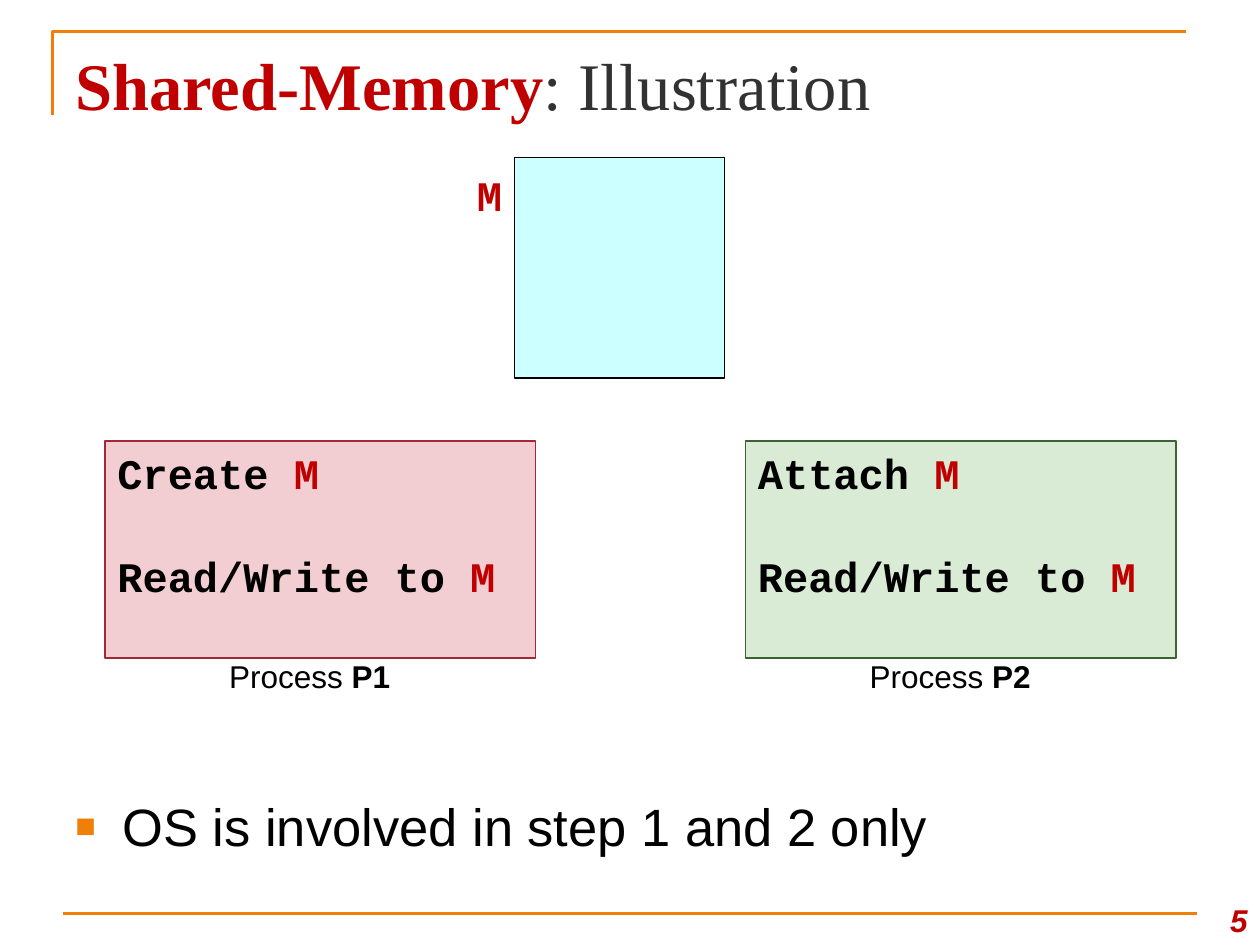
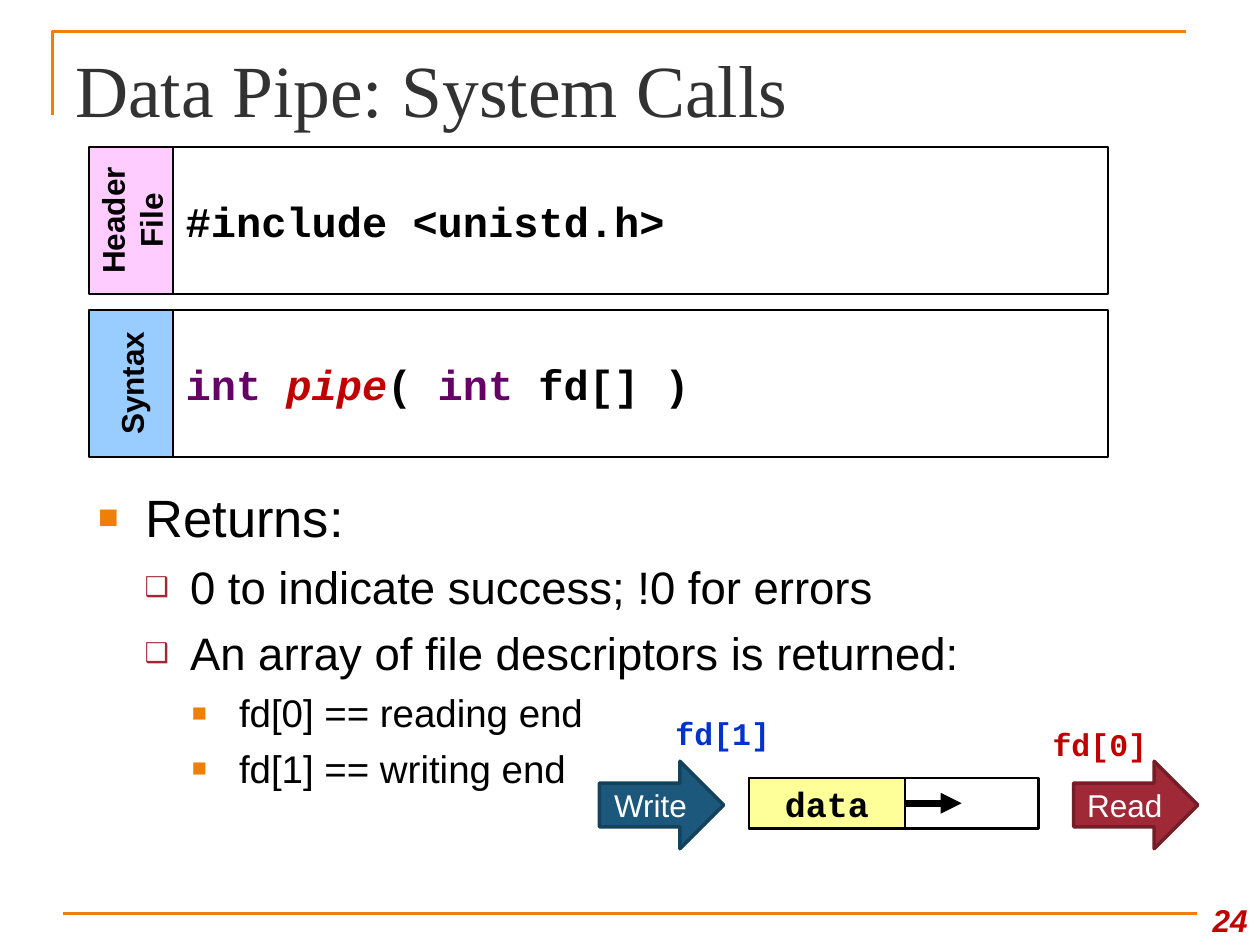
from lxml import etree
from pptx import Presentation
from pptx.dml.color import RGBColor
from pptx.enum.shapes import MSO_CONNECTOR, MSO_SHAPE
from pptx.enum.text import MSO_ANCHOR, PP_ALIGN
from pptx.oxml.ns import qn
from pptx.util import Pt

RECTANGLE, RIGHT_ARROW = MSO_SHAPE.RECTANGLE, MSO_SHAPE.RIGHT_ARROW
STRAIGHT = MSO_CONNECTOR.STRAIGHT
TOP, MIDDLE, BOTTOM = MSO_ANCHOR.TOP, MSO_ANCHOR.MIDDLE, MSO_ANCHOR.BOTTOM
LEFT, CENTER, RIGHT = PP_ALIGN.LEFT, PP_ALIGN.CENTER, PP_ALIGN.RIGHT

SANS, MONO, SERIF = "Arial", "Courier New", "Times New Roman"
ORANGE, RED, CRIMSON, BLUE = "F07F09", "C00000", "9F2936", "1B587C"
BLACK, WHITE, GRAY, PURPLE = "000000", "FFFFFF", "323232", "660066"

rgb = RGBColor.from_string


def add_box(slide, place, fill=None, line=None, weight=1, preset=RECTANGLE):
    """Add a preset shape, or a plain text box when it has no outline."""
    place = [Pt(length) for length in place]
    if line is None:
        return slide.shapes.add_textbox(*place)
    box = slide.shapes.add_shape(preset, *place)
    box.shadow.inherit = False
    if fill:
        box.fill.solid()
        box.fill.fore_color.rgb = rgb(fill)
    else:
        box.fill.background()
    box.line.color.rgb = rgb(line)
    box.line.width = Pt(weight)
    return box


def write(box, runs, size, font=SANS, color=BLACK, bold=False, italic=False,
          align=LEFT, anchor=TOP, before=0, bullet=None):
    """Append a paragraph; each run is (text, {font settings that differ})."""
    frame = box.text_frame
    frame.word_wrap = True
    frame.vertical_anchor = anchor
    paragraph = frame.add_paragraph() if frame.text else frame.paragraphs[0]
    paragraph.alignment = align
    if before:
        paragraph.space_before = Pt(before)
    if bullet:
        mark, mark_color, percent, margin, hanging = bullet
        props = paragraph._p.get_or_add_pPr()
        props.set("marL", str(Pt(margin)))
        props.set("indent", str(-Pt(hanging)))
        tint = etree.SubElement(props, qn("a:buClr"))
        etree.SubElement(tint, qn("a:srgbClr"), val=mark_color)
        etree.SubElement(props, qn("a:buSzPct"), val=str(percent * 1000))
        etree.SubElement(props, qn("a:buFont"), typeface=SANS)
        etree.SubElement(props, qn("a:buChar"), char=mark)
    paragraph.font.name, paragraph.font.size = font, Pt(size)
    paragraph.font.bold, paragraph.font.italic = bold, italic
    paragraph.font.color.rgb = rgb(color)
    for text, changes in runs:
        run = paragraph.add_run()
        run.text = text
        for setting, value in changes.items():
            if setting == "color":
                run.font.color.rgb = rgb(value)
            else:
                setattr(run.font, setting, value)


deck = Presentation()
deck.slide_width, deck.slide_height = Pt(720), Pt(540)

# Frame, title and number of every slide
slide_heads = [
    ("5", 38, [("Shared-Memory", {"color": RED, "bold": True}),
               (": Illustration", {})]),
    ("24", 42, [("Data Pipe: System Calls", {})]),
]
slides = []
for number, title_size, title_runs in slide_heads:
    slide = deck.slides.add_slide(deck.slide_layouts[6])
    slides.append(slide)
    outline = slide.shapes.build_freeform(Pt(30), Pt(66))
    outline.add_line_segments([(Pt(30), Pt(18)), (Pt(678), Pt(18))], close=False)
    corner = outline.convert_to_shape()
    corner.shadow.inherit = False
    corner.fill.background()
    footer_rule = slide.shapes.add_connector(
        STRAIGHT, Pt(36), Pt(522), Pt(684), Pt(522))
    etree.SubElement(footer_rule._element.spPr, qn("a:effectLst"))
    for rule in (corner, footer_rule):
        rule.line.color.rgb = rgb(ORANGE)
        rule.line.width = Pt(1.5)
    title = add_box(slide, (36, 21.6, 648, 56))
    write(title, title_runs, title_size, SERIF, GRAY)
    page = add_box(slide, (678, 504, 42, 36))
    write(page, [(number, {})], 18, color=RED, bold=True, italic=True,
          align=RIGHT, anchor=BOTTOM)

memory_slide, pipe_slide = slides

bullets = [  # mark, colour, size in percent, margin, hanging
    ("■", ORANGE, 65, 27, 27),
    ("❑", CRIMSON, 60, 52.5, 26),
    ("■", ORANGE, 65, 80.5, 27),
]

# Slide 1: two processes share memory M
red_m = ("M", {"color": RED})
conclusion = add_box(memory_slide, (36, 450, 648, 60))
write(conclusion, [("OS is involved in step 1 and 2 only", {})], 30,
      bullet=bullets[0])

add_box(memory_slide, (294, 90, 120, 126), "CCFFFF", BLACK, 0.75)
memory_label = add_box(memory_slide, (252, 90, 42, 42))
write(memory_label, [("M", {})], 24, MONO, RED, bold=True,
      align=RIGHT, anchor=MIDDLE)

processes = [
    (60, "P1", "Create ", "F2CED2", CRIMSON),
    (426, "P2", "Attach ", "D9EAD5", "3B6432"),
]
for left, process, first_step, fill, line in processes:
    steps = add_box(memory_slide, (left, 252, 246, 124), fill, line, 0.75)
    write(steps, [(first_step, {}), red_m], 24, MONO, bold=True)
    write(steps, [("Read/Write to ", {}), red_m], 24, MONO, bold=True, before=30)
    caption = add_box(memory_slide, (left + 48, 372, 138, 29))
    write(caption, [("Process ", {}), (process, {"bold": True})], 18,
          align=CENTER)

# Slide 2: what the pipe call returns
returns = add_box(pipe_slide, (49, 273.6, 636, 240))
return_points = [
    (0, 30, "Returns:"),
    (1, 26, "0 to indicate success; !0 for errors"),
    (1, 26, "An array of file descriptors is returned:"),
    (2, 22, "fd[0] == reading end"),
    (2, 22, "fd[1] == writing end"),
]
for level, size, point in return_points:
    write(returns, [(point, {})], size, before=size / 4 if level else 0,
          bullet=bullets[level])

# Slide 2: data flowing through the pipe
pipe_ends = [
    (342.5, "Write", BLUE, "14415C", "fd[1]", "0033CC", 380, 404.5),
    (613.5, "Read", CRIMSON, "761E28", "fd[0]", RED, 595.5, 410.5),
]
for left, action, fill, line, descriptor, color, label_left, label_top in pipe_ends:
    arrow = add_box(pipe_slide, (left, 435, 71, 50), fill, line, 2, RIGHT_ARROW)
    write(arrow, [(action, {})], 18, color=WHITE, align=CENTER, anchor=MIDDLE)
    label = add_box(pipe_slide, (label_left, label_top, 67, 28))
    write(label, [(descriptor, {})], 18, MONO, color, bold=True)
    label.text_frame.margin_left = label.text_frame.margin_right = Pt(6)

add_box(pipe_slide, (428, 444.5, 165.5, 29), None, BLACK, 1.5)
flow = pipe_slide.shapes.add_connector(
    STRAIGHT, Pt(502), Pt(459), Pt(549.5), Pt(459))
flow.line.color.rgb = rgb(BLACK)
flow.line.width = Pt(4)
etree.SubElement(flow.line._get_or_add_ln(), qn("a:tailEnd"), type="triangle")
etree.SubElement(flow._element.spPr, qn("a:effectLst"))
data = add_box(pipe_slide, (428, 444.5, 89, 29), "FFFF99", BLACK, 1.25)
write(data, [("data", {})], 20, MONO, bold=True, align=CENTER, anchor=MIDDLE)

# Slide 2: header file and syntax of the call
keyword = ("int ", {"color": PURPLE})
call_parts = [
    ("Header File", "FFCCFF", [("#include <unistd.h>", {})]),
    ("Syntax", "99CCFF", [keyword, ("pipe", {"color": RED, "italic": True}),
                          ("( ", {}), keyword, ("fd[] )", {})]),
]
for row, (heading, fill, code) in enumerate(call_parts):
    top = 84 + row * 93
    tab = add_box(pipe_slide, (51, top, 48, 84), fill, BLACK)
    write(tab, [(heading, {})], 18, bold=True, align=CENTER, anchor=MIDDLE)
    tab.text_frame._txBody.bodyPr.set("vert", "vert270")
    code_box = add_box(pipe_slide, (99, top, 534, 84), WHITE, BLACK)
    write(code_box, code, 24, MONO, bold=True, anchor=MIDDLE)

deck.save("out.pptx")
